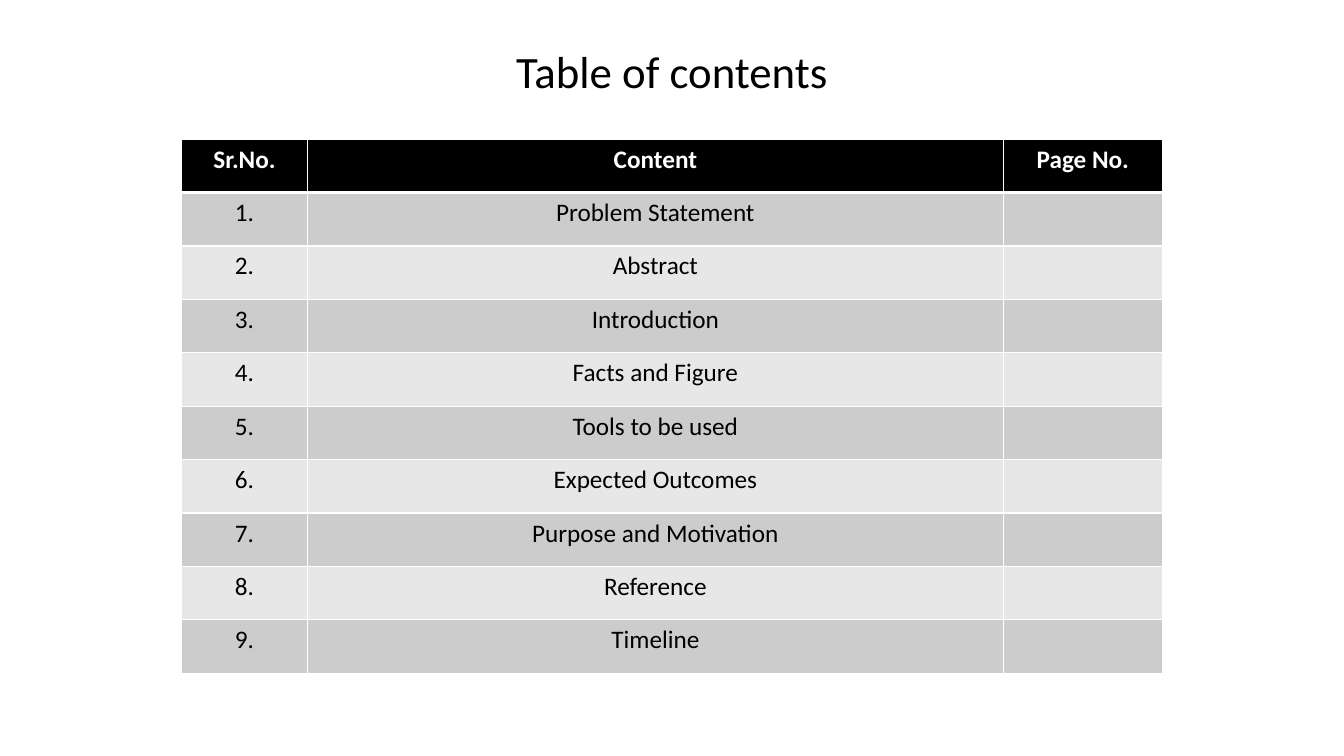
"""Build a table of contents slide."""
import pptx
import pptx.dml.color
import pptx.enum.text
import pptx.oxml.ns
import pptx.util
from lxml import etree

TITLE = "Table of contents"
HEADER = ("Sr.No.", "Content", "Page No.")
TOPICS = ["Problem Statement", "Abstract", "Introduction", "Facts and Figure",
          "Tools to be used", "Expected Outcomes", "Purpose and Motivation",
          "Reference", "Timeline"]
COLORS = {"black": "000000", "white": "FFFFFF", "dark": "CCCCCC", "light": "E7E7E7"}
FONT = "Calibri"
SLIDE_W, SLIDE_H = 13.33, 7.5
TITLE_BOX = (4.82, 0.4, 3.69, 0.67)
COL_WIDTHS = (1.25, 6.9, 1.58)
ROW_H, TABLE_TOP = 0.53, 1.38
THIN, THICK = 1, 3


def rgb(name):
    """Return a palette colour."""
    return pptx.dml.color.RGBColor.from_string(COLORS[name])


def write(tf, text, size=18, color="black", bold=False, spacing=None):
    """Put one centred, formatted line in a text frame."""
    p = tf.paragraphs[0]
    p.alignment = pptx.enum.text.PP_ALIGN.CENTER
    p.line_spacing = spacing
    p.font.size = pptx.util.Pt(size)
    if text:
        r = p.add_run()
        r.text = text
        r.font.name, r.font.size, r.font.bold = FONT, pptx.util.Pt(size), bold
        r.font.color.rgb = rgb(color)


def set_borders(cell, widths):
    """Draw white borders, given as a width in points per side."""
    qn = pptx.oxml.ns.qn
    tc_pr = cell._tc.get_or_add_tcPr()
    for i, (side, width) in enumerate(widths.items()):
        ln = etree.Element(qn("a:ln" + side), w=str(pptx.util.Pt(width)))
        fill = etree.SubElement(ln, qn("a:solidFill"))
        etree.SubElement(fill, qn("a:srgbClr"), val=COLORS["white"])
        tc_pr.insert(i, ln)


def add_title(s):
    """Fill and place the title placeholder."""
    sp = s.shapes.title
    sp.left, sp.top, sp.width, sp.height = map(pptx.util.Inches, TITLE_BOX)
    tf = sp.text_frame
    tf.auto_size = pptx.enum.text.MSO_AUTO_SIZE.NONE
    tf.vertical_anchor = pptx.enum.text.MSO_ANCHOR.MIDDLE
    write(tf, TITLE, size=32, spacing=0.9)


def add_contents(s):
    """Add the numbered table with alternating row fills."""
    rows = [HEADER] + [(f"{n}.", topic, "") for n, topic in enumerate(TOPICS, 1)]
    width = sum(COL_WIDTHS)
    box = ((SLIDE_W - width) / 2, TABLE_TOP, width, ROW_H * len(rows))
    table = s.shapes.add_table(len(rows), len(HEADER), *map(pptx.util.Inches, box)).table
    for column, w in zip(table.columns, COL_WIDTHS):
        column.width = pptx.util.Inches(w)
    for i, row in enumerate(rows):
        table.rows[i].height = pptx.util.Inches(ROW_H)
        head = i == 0
        fill = "black" if head else ("light", "dark")[i % 2]
        widths = {"L": THIN, "R": THIN, "T": THICK if i == 1 else THIN,
                  "B": THICK if head else THIN}
        for j, text in enumerate(row):
            cell = table.cell(i, j)
            cell.fill.solid()
            cell.fill.fore_color.rgb = rgb(fill)
            set_borders(cell, widths)
            write(cell.text_frame, text, color="white" if head else "black", bold=head)


def main():
    """Create and save the presentation."""
    prs = pptx.Presentation()
    prs.slide_width = pptx.util.Inches(SLIDE_W)
    prs.slide_height = pptx.util.Inches(SLIDE_H)
    s = prs.slides.add_slide(prs.slide_layouts[5])
    add_title(s)
    add_contents(s)
    prs.save("out.pptx")


if __name__ == "__main__":
    main()
